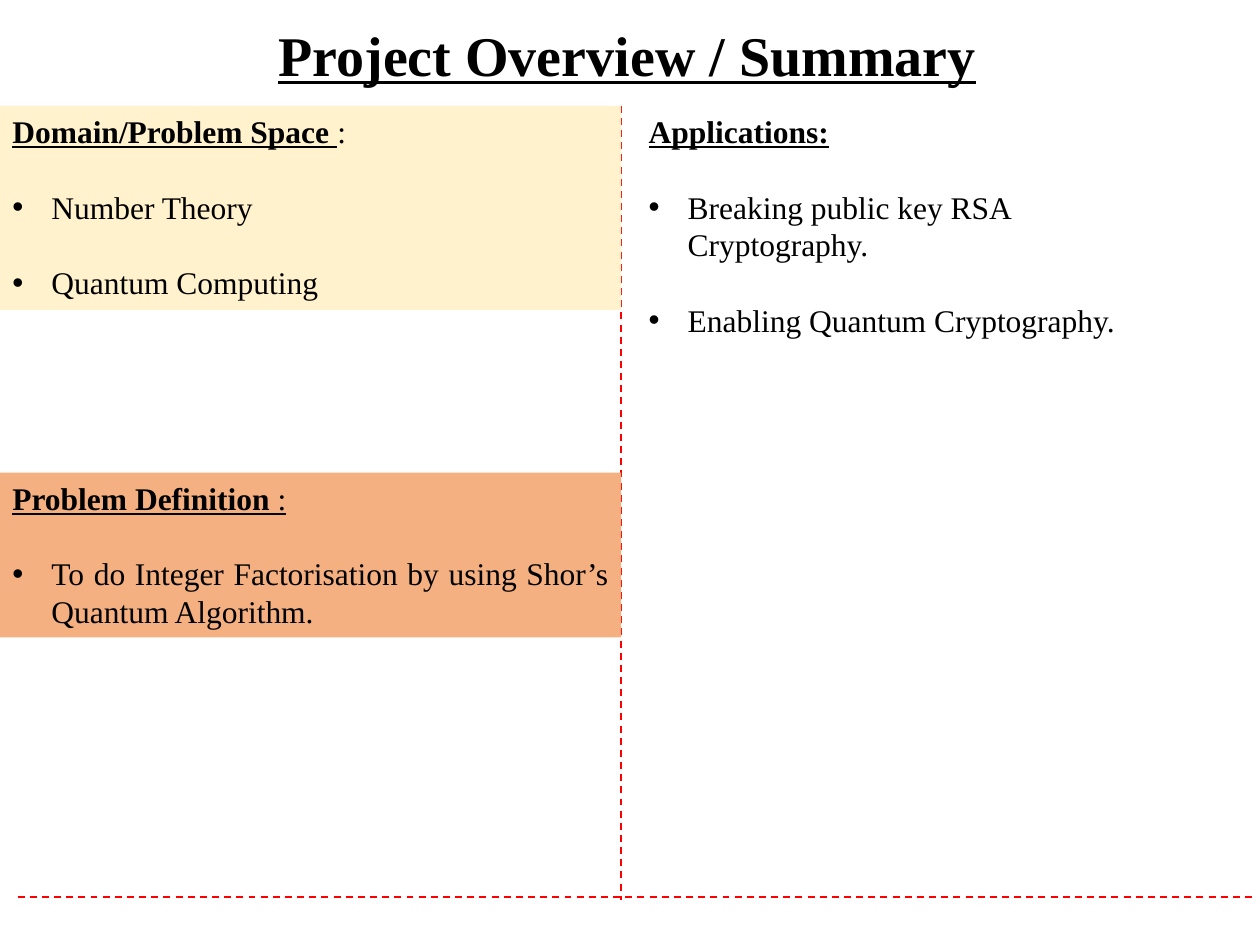
from dataclasses import dataclass
from typing import Optional

from lxml import etree
from pptx import Presentation
from pptx.dml.color import RGBColor
from pptx.enum import dml, shapes, text
from pptx.oxml import ns
from pptx.util import Inches, Pt

BLACK = RGBColor(0x00, 0x00, 0x00)
RED = RGBColor(0xFF, 0x00, 0x00)
CREAM = RGBColor(0xFF, 0xF2, 0xCC)
ORANGE = RGBColor(0xF4, 0xB0, 0x81)

FONT = "Times New Roman"
HEADING = {"bold": True, "underline": True}
COLON = {"bold": False, "underline": True}
PLAIN = {"bold": False, "underline": False}
INDENT = Inches(0.31)
ENTRY_GAP = Pt(21.6)

COLUMN_TOP = 0.84
DIVIDER_X = 4.93


@dataclass
class Section:
    left: float
    top: float
    width: float
    height: float
    heading: list[tuple[str, dict]]
    entries: list[str]
    align: text.PP_ALIGN
    fill: Optional[RGBColor] = None


SECTIONS = [
    Section(0, COLUMN_TOP, DIVIDER_X, 1.62,
            [("Domain/Problem Space ", HEADING), (":", PLAIN)],
            ["Number Theory", "Quantum Computing"],
            text.PP_ALIGN.JUSTIFY, CREAM),
    Section(0, 3.75, DIVIDER_X, 1.31,
            [("Problem Definition ", HEADING), (":", COLON)],
            ["To do Integer Factorisation by using Shor\u2019s Quantum Algorithm."],
            text.PP_ALIGN.JUSTIFY, ORANGE),
    Section(5.05, COLUMN_TOP, 4.54, 1.92,
            [("Applications:", HEADING)],
            ["Breaking public key RSA Cryptography.",
             "Enabling Quantum Cryptography."],
            text.PP_ALIGN.LEFT),
]


def add_run(paragraph, words: str, size: int, style: dict) -> None:
    run = paragraph.add_run()
    run.text = words
    run.font.color.rgb = BLACK
    for name, value in {"name": FONT, "size": Pt(size), **style}.items():
        setattr(run.font, name, value)


def add_bullet(paragraph) -> None:
    props = paragraph._p.get_or_add_pPr()
    props.set("marL", str(INDENT))
    props.set("indent", str(-INDENT))
    color = etree.SubElement(props, ns.qn("a:buClr"))
    etree.SubElement(color, ns.qn("a:srgbClr"), val=str(BLACK))
    etree.SubElement(props, ns.qn("a:buFont"), typeface="Arial")
    etree.SubElement(props, ns.qn("a:buChar"), char="\u2022")


def add_divider(slide, x1: float, y1: float, x2: float, y2: float) -> None:
    divider = slide.shapes.add_connector(
        shapes.MSO_CONNECTOR.STRAIGHT,
        Inches(x1), Inches(y1), Inches(x2), Inches(y2))
    divider.line.color.rgb = RED
    divider.line.width = Pt(1)
    divider.line.dash_style = dml.MSO_LINE.DASH
    etree.SubElement(divider._element.spPr, ns.qn("a:effectLst"))


def add_section(slide, section: Section) -> None:
    bounds = [Inches(v) for v in
              (section.left, section.top, section.width, section.height)]
    if section.fill is None:
        panel = slide.shapes.add_textbox(*bounds)
    else:
        panel = slide.shapes.add_shape(shapes.MSO_SHAPE.RECTANGLE, *bounds)
        panel.shadow.inherit = False
        panel.fill.solid()
        panel.fill.fore_color.rgb = section.fill
        panel.line.fill.background()
    frame = panel.text_frame
    frame.word_wrap = True
    frame.vertical_anchor = text.MSO_ANCHOR.TOP

    heading = frame.paragraphs[0]
    heading.alignment = section.align
    for words, style in section.heading:
        add_run(heading, words, 18, style)
    for words in section.entries:
        entry = frame.add_paragraph()
        entry.alignment = section.align
        entry.space_before = ENTRY_GAP
        add_bullet(entry)
        add_run(entry, words, 18, PLAIN)


presentation = Presentation()
presentation.slide_width = Inches(10)
presentation.slide_height = Inches(7.5)
overview = presentation.slides.add_slide(presentation.slide_layouts[6])

# Title
title = overview.shapes.add_textbox(
    Inches(-0.04), Inches(-0.03), Inches(10.04), Inches(0.78)).text_frame
title.word_wrap = True
title.vertical_anchor = text.MSO_ANCHOR.BOTTOM
title_line = title.paragraphs[0]
title_line.alignment = text.PP_ALIGN.CENTER
title_line.line_spacing = 0.9
add_run(title_line, "Project Overview / Summary", 32, HEADING)

# Dashed dividers
add_divider(overview, DIVIDER_X, COLUMN_TOP, DIVIDER_X, 7.14)
add_divider(overview, 0.14, 7.12, 9.96, 7.12)

# Sections
for part in SECTIONS:
    add_section(overview, part)

presentation.save("out.pptx")
